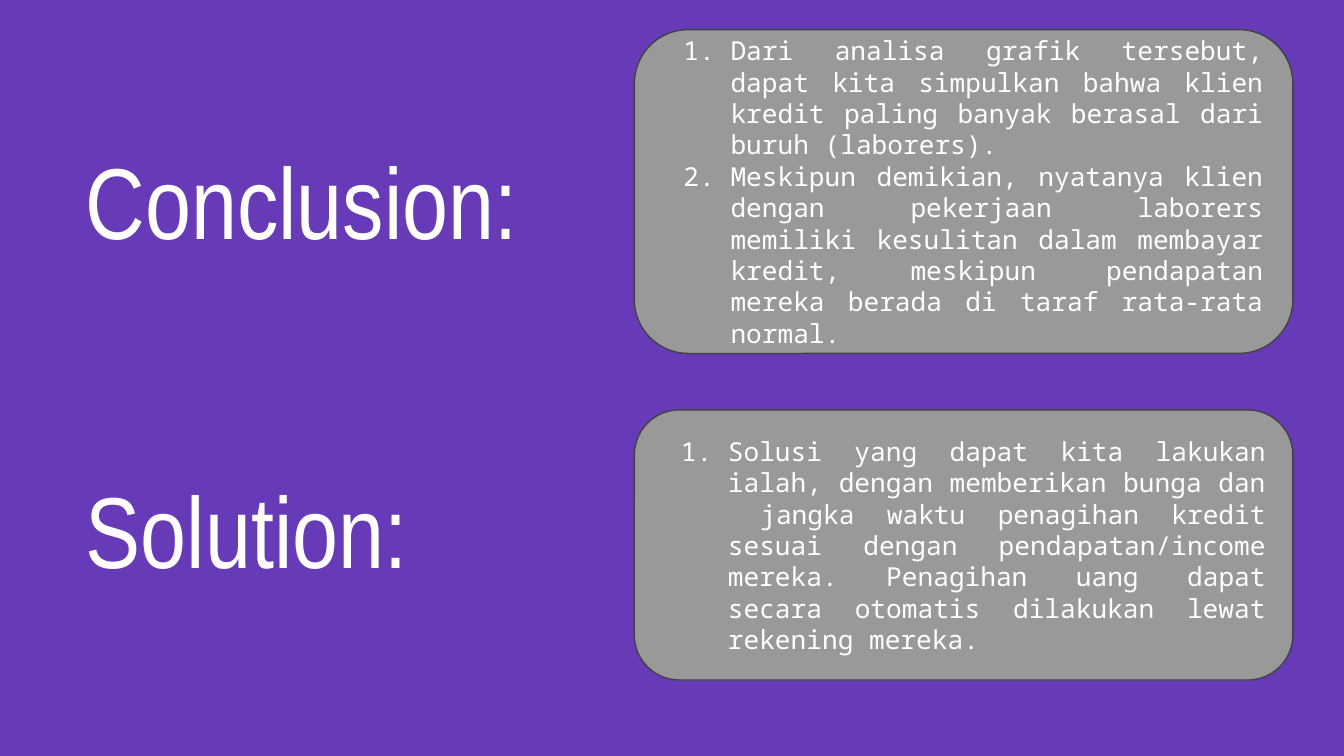
from lxml.etree import SubElement
from pptx import Presentation
from pptx.dml.color import RGBColor
from pptx.enum.shapes import MSO_SHAPE
from pptx.enum.text import MSO_ANCHOR, PP_ALIGN
from pptx.oxml.ns import qn
from pptx.util import Inches, Pt

COLORS = {"background": "673AB7", "card": "999999", "border": "424242", "text": "FFFFFF"}


class SlideBuilder:
    """Hold the style and the current slide, and add headings and numbered cards."""

    heading_font, heading_size = "Arial Narrow", 54
    body_font, body_size = "Noto Sans Mono", 14

    def __init__(self, prs):
        self.s = prs.slides.add_slide(prs.slide_layouts[6])
        fill = self.s.background.fill
        fill.solid()
        fill.fore_color.rgb = self.color("background")

    def color(self, name):
        return RGBColor.from_string(COLORS[name])

    def frame(self, sp, anchor):
        tf = sp.text_frame
        tf.word_wrap = True
        tf.vertical_anchor = anchor
        tf.margin_left = tf.margin_right = tf.margin_top = tf.margin_bottom = Inches(0.1)
        return tf

    def format_runs(self, p, font, size):
        for r in p.runs:
            r.font.name = font
            r.font.size = Pt(size)
            r.font.color.rgb = self.color("text")

    def number(self, p):
        pPr = p._p.get_or_add_pPr()
        pPr.set("marL", str(Inches(0.5)))
        pPr.set("indent", str(Inches(-0.35)))
        clr = SubElement(pPr, qn("a:buClr"))
        SubElement(clr, qn("a:srgbClr"), val=COLORS["text"])
        SubElement(pPr, qn("a:buSzPts"), val=str(self.body_size * 100))
        SubElement(pPr, qn("a:buFont"), typeface=self.body_font)
        SubElement(pPr, qn("a:buAutoNum"), type="arabicPeriod")

    def heading(self, text, top, width, height, anchor):
        sp = self.s.shapes.add_textbox(Inches(0.54), Inches(top), Inches(width), Inches(height))
        tf = self.frame(sp, anchor)
        tf.text = text
        p = tf.paragraphs[0]
        p.space_after = Pt(16)
        self.format_runs(p, self.heading_font, self.heading_size)

    def card(self, items, top, height):
        sp = self.s.shapes.add_shape(
            MSO_SHAPE.ROUNDED_RECTANGLE, Inches(4.72), Inches(top), Inches(4.9), Inches(height))
        sp.shadow.inherit = False
        sp.fill.solid()
        sp.fill.fore_color.rgb = self.color("card")
        sp.line.color.rgb = self.color("border")
        sp.line.width = Pt(0.75)
        tf = self.frame(sp, MSO_ANCHOR.MIDDLE)
        tf.text = "\n".join(items)
        for p in tf.paragraphs:
            self.number(p)
            p.alignment = PP_ALIGN.JUSTIFY
            self.format_runs(p, self.body_font, self.body_size)


def main():
    prs = Presentation()
    prs.slide_width = Inches(10)
    prs.slide_height = prs.slide_width * 9 // 16
    b = SlideBuilder(prs)
    b.heading("Conclusion:", 0.58, 3.7, 1.81, MSO_ANCHOR.MIDDLE)
    b.heading("Solution:", 3.38, 3.28, 1.11, MSO_ANCHOR.TOP)
    b.card([
        "Dari analisa grafik tersebut, dapat kita simpulkan bahwa klien kredit paling "
        "banyak berasal dari buruh (laborers). ",
        "Meskipun demikian, nyatanya klien dengan pekerjaan laborers memiliki kesulitan "
        "dalam membayar kredit, meskipun pendapatan mereka berada di taraf rata-rata normal. ",
    ], 0.22, 2.41)
    b.card([
        "Solusi yang dapat kita lakukan ialah, dengan memberikan bunga dan  jangka waktu "
        "penagihan kredit sesuai dengan pendapatan/income mereka. Penagihan uang dapat "
        "secara otomatis dilakukan lewat rekening mereka. ",
    ], 3.05, 2.01)
    prs.save("out.pptx")


if __name__ == "__main__":
    main()
